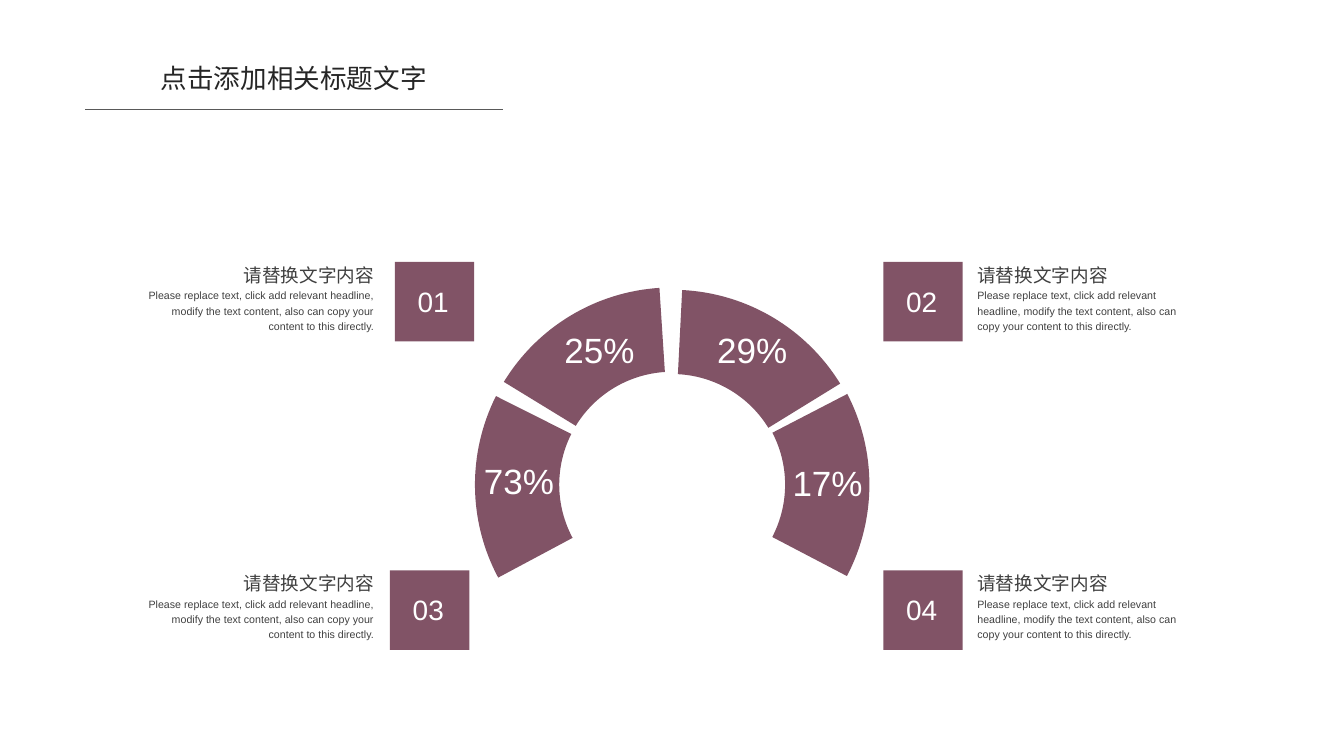
from math import cos, radians, sin, tan

from lxml import etree
from pptx import Presentation
from pptx.dml.color import RGBColor
from pptx.enum.shapes import MSO_CONNECTOR, MSO_SHAPE
from pptx.enum.text import MSO_ANCHOR, MSO_AUTO_SIZE, PP_ALIGN
from pptx.oxml.ns import qn
from pptx.util import Cm, Pt

STRAIGHT = MSO_CONNECTOR.STRAIGHT
ROUNDED = MSO_SHAPE.ROUNDED_RECTANGLE
TOP, MIDDLE, BOTTOM = MSO_ANCHOR.TOP, MSO_ANCHOR.MIDDLE, MSO_ANCHOR.BOTTOM
LEFT, CENTER, RIGHT = PP_ALIGN.LEFT, PP_ALIGN.CENTER, PP_ALIGN.RIGHT

PLUM, WHITE, INK, GREY, RULE = "815366", "FFFFFF", "262626", "404040", "595959"
HEADING = "请替换文字内容"
BODY = ("Please replace text, click add relevant headline, modify the text "
        "content, also can copy your content to this directly.")
SQUARE = 2.11
OUTER, INNER = 5.24, 3.0

# label, start angle, end angle, drop of the segment, label left and top
SEGMENTS = [
    ("25%", 93.7, 148.6, 0, 14.76, 8.95),
    ("29%", 31.6, 87.1, 0.06, 18.82, 8.96),
    ("17%", -27.6, 27.4, 0, 20.82, 12.5),
    ("73%", 153.3, 208.1, 0, 12.62, 12.45),
]
# number, square left and top, text left and width, alignment
ITEMS = [
    ("01", 10.49, 6.96, 3.94, 6.0, RIGHT),
    ("02", 23.47, 6.96, 25.97, 5.69, LEFT),
    ("03", 10.36, 15.16, 3.94, 6.0, RIGHT),
    ("04", 23.47, 15.16, 25.97, 5.69, LEFT),
]


def rgb(color):
    return RGBColor.from_string(color)


def write(shape, text, size, color, align, anchor, spacing=1.2):
    tf = shape.text_frame
    tf.text = text
    tf.word_wrap = True
    tf.auto_size = MSO_AUTO_SIZE.NONE
    tf.vertical_anchor = anchor
    tf.margin_left = tf.margin_right = tf.margin_top = tf.margin_bottom = 0
    p = tf.paragraphs[0]
    p.alignment = align
    p.line_spacing = spacing
    font = p.runs[0].font
    font.size, font.name = Pt(size), "Arial"
    font.color.rgb = rgb(color)


def add_text(s, x, y, w, h, *style):
    write(s.shapes.add_textbox(Cm(x), Cm(y), Cm(w), Cm(h)), *style)


def add_outline(s, points):
    points = [(Cm(x), Cm(y)) for x, y in points]
    builder = s.shapes.build_freeform(*points[0], scale=1.0)
    builder.add_line_segments(points[1:], close=True)
    shape = builder.convert_to_shape()
    shape.shadow.inherit = False
    shape.line.fill.background()
    return shape


def fill(shape):
    shape.fill.solid()
    shape.fill.fore_color.rgb = rgb(PLUM)


def add_header(s, x, y, w):
    """Title centred over a thin rule; x, y and w are those of the rule."""
    title = s.shapes.title
    title.left, title.top = Cm(x + 1.29), Cm(y - 1.25)
    title.width, title.height = Cm(8.51), Cm(0.86)
    write(title, "点击添加相关标题文字", 20, INK, CENTER, MIDDLE, 1.0)
    rule = s.shapes.add_connector(STRAIGHT, Cm(x), Cm(y), Cm(x + w), Cm(y))
    rule.line.color.rgb = rgb(RULE)
    rule.line.width = Pt(0.5)
    etree.SubElement(rule._element.spPr, qn("a:effectLst"))


def bend(shape, line, handles):
    """Turn a straight piece of an outline into a Bézier curve."""
    curve = etree.Element(qn("a:cubicBezTo"))
    for x, y in handles:
        etree.SubElement(curve, qn("a:pt"), x=str(Cm(x) - shape.left),
                         y=str(Cm(y) - shape.top))
    curve.append(line[0])
    line.getparent().replace(line, curve)


def add_segment(s, cx, cy, start, end):
    """Ring segment between two angles, counted anticlockwise from the right."""
    def at(r, angle, along=0):
        a = radians(angle)
        return (cx + r * (cos(a) - along * sin(a)),
                cy - r * (sin(a) + along * cos(a)))

    mid = (start + end) / 2
    corners = [(OUTER, start), (OUTER, mid), (OUTER, end),
               (INNER, end), (INNER, mid), (INNER, start)]
    shape = add_outline(s, [at(*corner) for corner in corners])
    fill(shape)
    lines = list(shape._element.iter(qn("a:lnTo")))
    for line, (r, a), (r_next, b) in zip(lines, corners, corners[1:]):
        if r == r_next:
            pull = 4 / 3 * tan(radians(b - a) / 4)
            bend(shape, line, [at(r, a, pull), at(r, b, -pull)])


def add_label(s, x, y, w, h, text):
    label = add_outline(s, [(x, y), (x + w, y), (x + w, y + h), (x, y + h)])
    label.fill.background()
    write(label, text, 26.4, WHITE, CENTER, BOTTOM)


def add_ring(s, cx, cy):
    for _, start, end, drop, _, _ in SEGMENTS:
        add_segment(s, cx, cy + drop, start, end)
    for text, _, _, _, x, y in SEGMENTS:
        add_label(s, x, y, 2.34, 0.89, text)


def add_item(s, number, x, y, text_x, text_w, align):
    add_text(s, text_x, y - 0.21, text_w, 0.99, HEADING, 14, GREY, align, MIDDLE)
    add_text(s, text_x, y + 0.66, text_w, 1.75, BODY, 8, GREY, align, TOP)
    square = s.shapes.add_shape(ROUNDED, Cm(x), Cm(y), Cm(SQUARE), Cm(SQUARE))
    square.adjustments[0] = 0
    square.shadow.inherit = False
    square.line.fill.background()
    fill(square)
    add_text(s, x + 0.17, y + 0.25, 1.7, 1.4, number, 21.1, WHITE, CENTER, MIDDLE)


def main():
    prs = Presentation()
    prs.slide_width, prs.slide_height = Cm(35.71), Cm(20.09)
    s = prs.slides.add_slide(prs.slide_layouts[5])
    add_header(s, 2.26, 2.9, 11.1)
    add_ring(s, 17.86, 12.88)
    for item in ITEMS:
        add_item(s, *item)
    prs.save("out.pptx")


if __name__ == "__main__":
    main()
